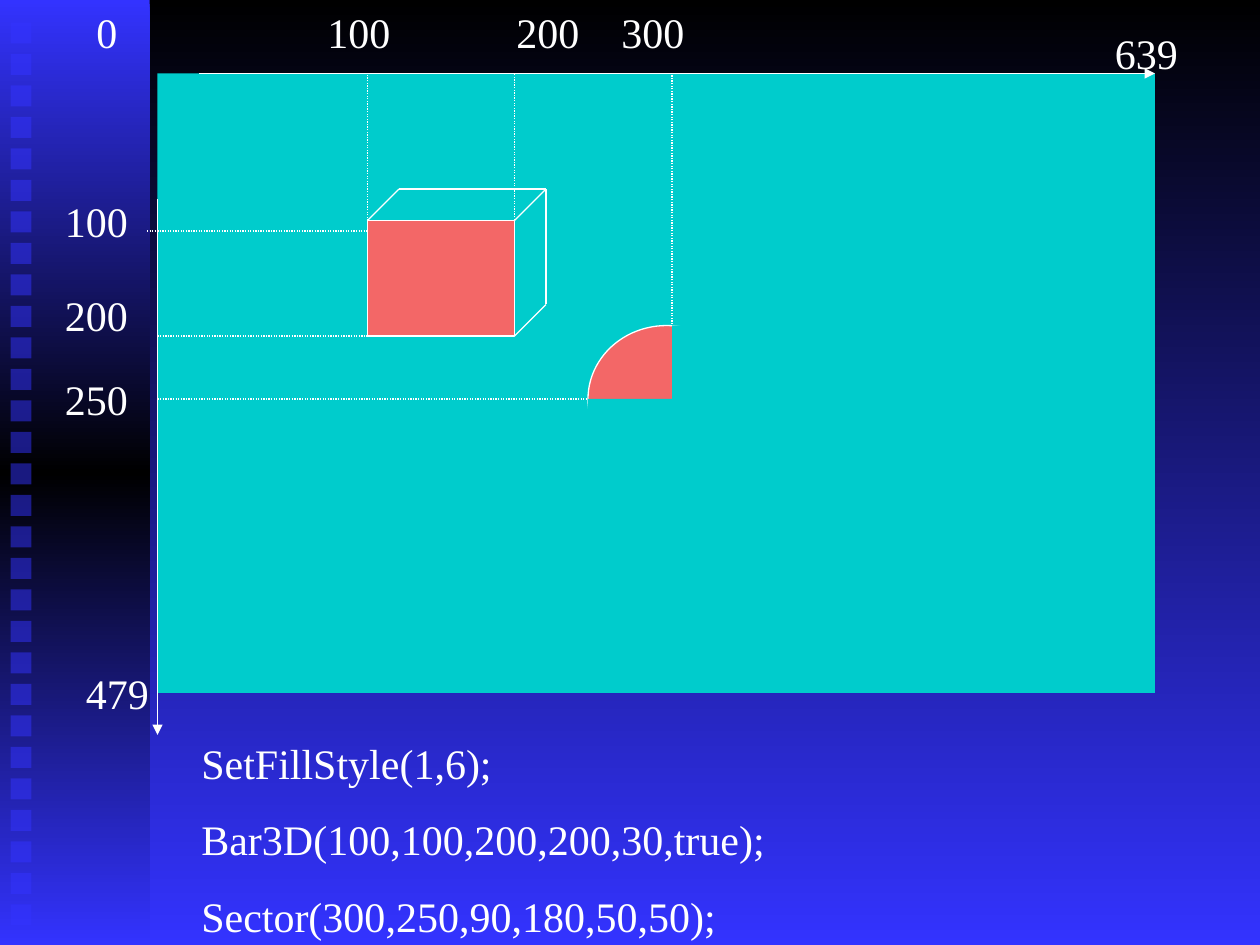
from collections import namedtuple
from dataclasses import dataclass

from lxml import etree
from pptx import Presentation
from pptx import util as u
from pptx.dml.color import RGBColor
from pptx.enum import dml, shapes
from pptx.oxml import ns

Box = namedtuple("Box", "left top width height")


@dataclass(frozen=True)
class Theme:
    black: str = "000000"
    blue: str = "3333FF"
    screen: str = "00CCCC"
    coral: str = "F36767"
    white: str = "FFFFFF"
    font: str = "Times New Roman"
    size: int = 24
    line: float = 0.75
    paragraph_gap: int = 15


THEME = Theme()


def px(length):
    return u.Emu(length * 9525)


def paint_gradient(fill, owner, colors):
    fill.gradient()
    fill.gradient_angle = 270
    stops = next(owner.iter(ns.qn("a:gsLst")))
    stops.clear()
    for index, color in enumerate(colors):
        position = index * 100000 // (len(colors) - 1)
        stop = etree.SubElement(stops, ns.qn("a:gs"), pos=str(position))
        etree.SubElement(stop, ns.qn("a:srgbClr"), val=color)


def style_line(line):
    line.color.rgb = RGBColor.from_string(THEME.white)
    line.width = u.Pt(THEME.line)


def add_block(slide, box, color, kind=shapes.MSO_SHAPE.RECTANGLE, outlined=False):
    block = slide.shapes.add_shape(kind, *map(px, box))
    block.shadow.inherit = False
    block.fill.solid()
    block.fill.fore_color.rgb = RGBColor.from_string(color)
    if outlined:
        style_line(block.line)
    else:
        block.line.fill.background()
    return block


def add_line(slide, box, start, end, dotted=False, arrow=False):
    ends = [px(origin + offset) for point in (start, end) for origin, offset in zip(box[:2], point)]
    line = slide.shapes.add_connector(shapes.MSO_CONNECTOR.STRAIGHT, *ends)
    style_line(line.line)
    if dotted:
        line.line.dash_style = dml.MSO_LINE.ROUND_DOT
    properties = line._element.spPr
    if arrow:
        etree.SubElement(properties.find(ns.qn("a:ln")), ns.qn("a:tailEnd"), type="triangle")
    etree.SubElement(properties, ns.qn("a:effectLst"))


def add_text(slide, box, words):
    frame = slide.shapes.add_textbox(*map(px, box)).text_frame
    frame.word_wrap = True
    frame.text = words
    for index, paragraph in enumerate(frame.paragraphs):
        if index:
            paragraph.space_before = u.Pt(THEME.paragraph_gap)
        for run in paragraph.runs:
            run.font.name = THEME.font
            run.font.size = u.Pt(THEME.size)
            run.font.color.rgb = RGBColor.from_string(THEME.white)


def draw_sidebar(slide, box):
    band = add_block(slide, box, THEME.blue)
    paint_gradient(band.fill, band._element, (THEME.blue, THEME.black, THEME.blue))
    for index in range(29):
        square = add_block(slide, Box(box.left + 8, box.top + 17 + 24 * index, 16, 16), THEME.blue)
        tint = next(square._element.spPr.iter(ns.qn("a:srgbClr")))
        etree.SubElement(tint, ns.qn("a:alpha"), val="50000")


def draw_axes(slide, box):
    add_block(slide, box, THEME.screen)
    add_line(slide, box, (32, 0), (box.width, 0), arrow=True)
    add_line(slide, box, (0, 96), (0, 504), arrow=True)
    labels = (
        ("0", -56, -56, 56), ("100", 120, -56, 96), ("200", 264, -56, 72),
        ("300", 344, -56, 120), ("639", 720, -40, 96),
        ("100", -80, 88, 88), ("200", -80, 160, 80), ("250", -80, 224, 104),
        ("479", -64, 448, 88),
    )
    for words, left, top, width in labels:
        add_text(slide, Box(box.left + left, box.top + top, width, 48), words)


def draw_guides(slide, box):
    for corner, start in (((160, 120), -8), ((272, 200), 0), ((392, 248), 0)):
        add_line(slide, box, (start, corner[1]), corner, dotted=True)
        add_line(slide, box, corner, (corner[0], 0), dotted=True)


def draw_bar(slide, box, depth):
    add_block(slide, box, THEME.coral, outlined=True)
    top_left, top_right, bottom_right = (0, 0), (box.width, 0), (box.width, box.height)
    rear = [(x + depth, y - depth) for x, y in (top_left, top_right, bottom_right)]
    for front, back in zip((top_left, top_right, bottom_right), rear):
        add_line(slide, box, front, back)
    for start, end in zip(rear, rear[1:]):
        add_line(slide, box, start, end)


def draw_sector(slide, box):
    add_block(slide, box, THEME.coral, shapes.MSO_SHAPE.OVAL, outlined=True)
    add_block(slide, Box(box.left + 64, box.top, 64, 56), THEME.screen)
    add_block(slide, Box(box.left, box.top + 56, 144, 64), THEME.screen)


def draw_code(slide, box):
    add_text(slide, box, "SetFillStyle(1,6);\nBar3D(100,100,200,200,30,true);\nSector(300,250,90,180,50,50);")


def main():
    deck = Presentation()
    deck.slide_width, deck.slide_height = px(960), px(720)
    slide = deck.slides.add_slide(deck.slide_layouts[6])
    paint_gradient(slide.background.fill, slide._element, (THEME.black, THEME.blue))
    screen = Box(120, 56, 760, 472)
    draw_sidebar(slide, Box(0, 0, 114, 720))
    draw_axes(slide, screen)
    draw_guides(slide, screen)
    draw_bar(slide, Box(280, 168, 112, 88), 24)
    draw_sector(slide, Box(448, 248, 120, 112))
    draw_code(slide, Box(144, 557, 816, 163))
    deck.save("out.pptx")


if __name__ == "__main__":
    main()
